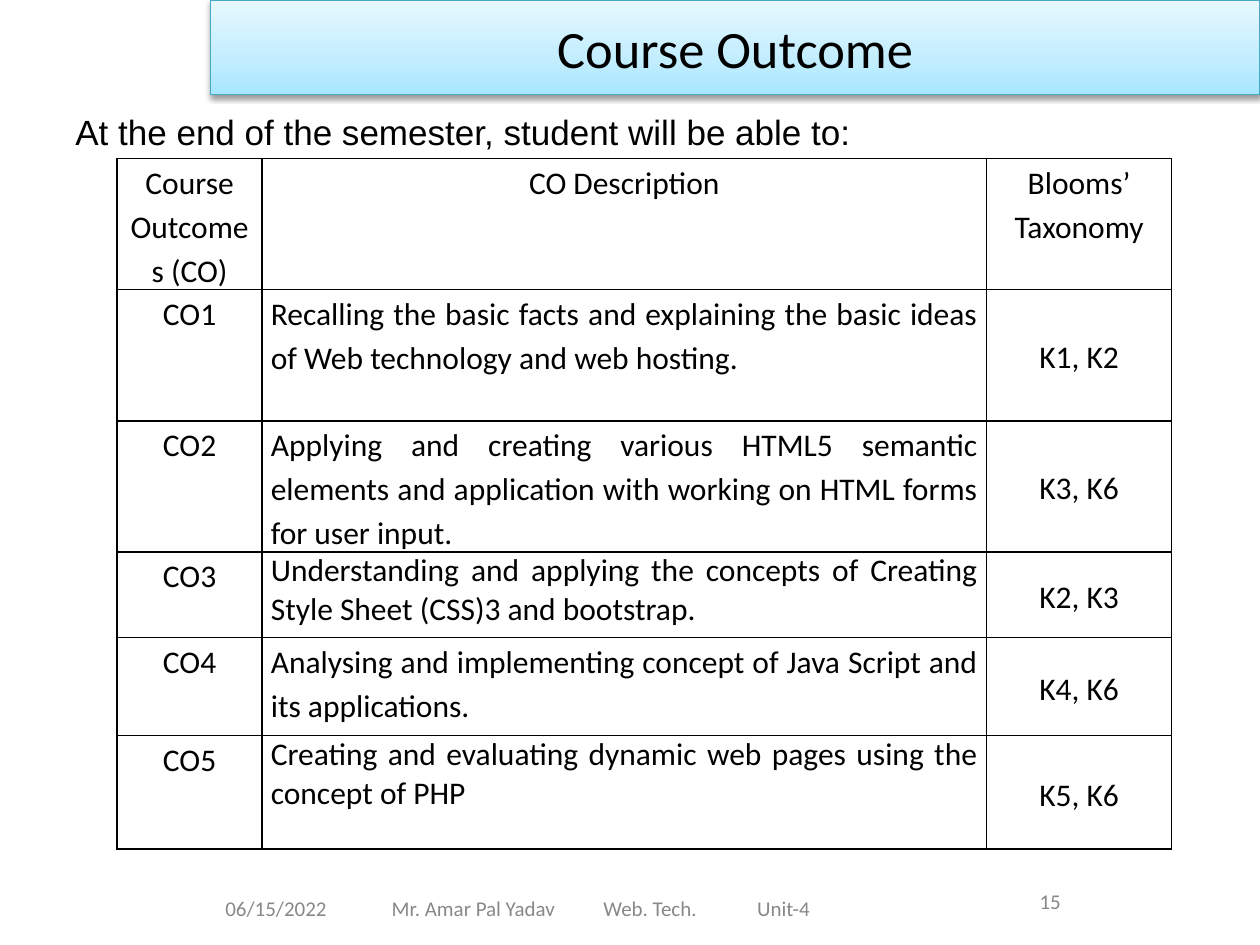
from copy import deepcopy
from lxml import etree
from pptx import Presentation
from pptx.dml.color import RGBColor
from pptx.enum.text import MSO_ANCHOR, MSO_AUTO_SIZE, PP_ALIGN
from pptx.oxml import parse_xml
from pptx.oxml.ns import nsdecls, qn
from pptx.util import Inches, Pt

LEFT, CENTER, JUSTIFY = PP_ALIGN.LEFT, PP_ALIGN.CENTER, PP_ALIGN.JUSTIFY
TOP, MIDDLE = MSO_ANCHOR.TOP, MSO_ANCHOR.MIDDLE

TITLE = "Course Outcome"
INTRO = "At the end of the semester, student will be able to:"
FOOTER = ["06/15/2022", "Mr. Amar Pal Yadav", "Web. Tech.", "Unit-4"]
FOOTER_TABS = [1.32, 3, 4.22]
PAGE = "15"
HEADER = ("Course Outcomes (CO)", "CO Description", "Blooms’ Taxonomy")
OUTCOMES = [
    ("CO1", "Recalling the basic facts and explaining the basic ideas of Web technology and web hosting.", "K1, K2"),
    ("CO2", "Applying and creating various HTML5 semantic elements and application with working on HTML forms for user input.", "K3, K6"),
    ("CO3", "Understanding and applying the concepts of Creating Style Sheet (CSS)3 and bootstrap.", "K2, K3"),
    ("CO4", "Analysing and implementing concept of Java Script and its applications.", "K4, K6"),
    ("CO5", "Creating and evaluating dynamic web pages using the concept of PHP", "K5, K6"),
]
SINGLE_SPACED = {"CO3", "CO5"}
COLS = [1.15, 5.75, 1.47]
ROWS = [1.04, 1.04, 1.04, 0.68, 0.78, 0.9]
COLORS = {"text": "000000", "muted": "888888", "edge": "46AAC5", "border": "000000"}
GRADIENT = [(0, "A7E6FF"), (0.35, "C1EDFF"), (1, "E7F8FF")]

BODY = {"name": "Calibri", "size": 18, "color": "text"}
HEADING = {**BODY, "size": 30}
LEAD = {"name": "Arial", "size": 20, "color": "text"}
SMALL = {"name": "Calibri", "size": 12, "color": "muted"}


def write(p, text, style, **fmt):
    for name, value in fmt.items():
        setattr(p, name, value)
    r = p.add_run()
    r.text = text
    r.font.name = style["name"]
    r.font.size = Pt(style["size"])
    r.font.bold = False
    r.font.color.rgb = RGBColor.from_string(COLORS[style["color"]])


def place(sp, box):
    for name, value in zip(("left", "top", "width", "height"), box):
        setattr(sp, name, Inches(value))


def add_text(slide, box, text, style, align=LEFT, tabs=()):
    tf = slide.shapes.add_textbox(*map(Inches, box)).text_frame
    tf.word_wrap = True
    tf.vertical_anchor = MIDDLE
    p = tf.paragraphs[0]
    if tabs:
        tab_list = etree.SubElement(p._p.get_or_add_pPr(), qn("a:tabLst"))
        for tab in tabs:
            etree.SubElement(tab_list, qn("a:tab"), pos=str(Inches(tab)), algn="l")
    write(p, text, style, alignment=align)
    return tf


def add_title(slide):
    sp = slide.shapes.title
    place(sp, (1.67, 0, 8.33, 0.75))
    sp.fill.gradient()
    sp.fill.gradient_angle = 90
    stops = sp._element.spPr.find(qn("a:gradFill")).find(qn("a:gsLst"))
    stops.append(deepcopy(stops[-1]))
    for stop, (position, color) in zip(sp.fill.gradient_stops, GRADIENT):
        stop.position = position
        stop.color.rgb = RGBColor.from_string(color)
    sp.line.color.rgb = RGBColor.from_string(COLORS["edge"])
    sp.line.width = Pt(0.75)
    sp._element.spPr.append(parse_xml(
        f'<a:effectLst {nsdecls("a")}>'
        f'<a:outerShdw blurRad="{Pt(3.1)}" dist="{Pt(1.6)}" dir="5400000" rotWithShape="0">'
        '<a:srgbClr val="000000"><a:alpha val="38000"/></a:srgbClr>'
        '</a:outerShdw></a:effectLst>'))
    tf = sp.text_frame
    tf.auto_size = MSO_AUTO_SIZE.NONE
    tf.vertical_anchor = MIDDLE
    write(tf.paragraphs[0], TITLE, HEADING, alignment=CENTER)


def add_borders(cell):
    tc_pr = cell._tc.get_or_add_tcPr()
    for side in ("lnL", "lnR", "lnT", "lnB"):
        tc_pr.append(parse_xml(
            f'<a:{side} {nsdecls("a")} w="{Pt(1)}"><a:solidFill>'
            f'<a:srgbClr val="{COLORS["border"]}"/></a:solidFill></a:{side}>'))


def add_outcomes(slide):
    box = (0.93, 1.26, sum(COLS), sum(ROWS))
    table = slide.shapes.add_table(len(ROWS), len(COLS), *map(Inches, box)).table
    table.first_row = table.horz_banding = False
    for column, width in zip(table.columns, COLS):
        column.width = Inches(width)
    for row, height in zip(table.rows, ROWS):
        row.height = Inches(height)
    for i, record in enumerate([HEADER, *OUTCOMES]):
        for j, text in enumerate(record):
            cell = table.cell(i, j)
            level = i > 0 and j == 2
            description = i > 0 and j == 1
            add_borders(cell)
            cell.fill.background()
            cell.margin_left = cell.margin_right = Inches(0.08 if level else 0.07)
            cell.margin_top = cell.margin_bottom = 0
            cell.vertical_anchor = MIDDLE if level else TOP
            fmt = {
                "alignment": JUSTIFY if description else CENTER,
                "line_spacing": 1.0 if description and record[0] in SINGLE_SPACED else 1.15,
                "space_after": Pt(10 if level else 0),
            }
            write(cell.text_frame.paragraphs[0], text, BODY, **fmt)


def main():
    prs = Presentation()
    prs.slide_width, prs.slide_height = Inches(10), Inches(7.5)
    slide = prs.slides.add_slide(prs.slide_layouts[5])
    add_title(slide)
    add_text(slide, (1.69, 7.01, 7.58, 0.4), "\t".join(FOOTER), SMALL, tabs=FOOTER_TABS)
    add_text(slide, (7.17, 6.95, 2.33, 0.4), PAGE, SMALL, CENTER)
    intro = add_text(slide, (0.5, 0.82, 9.5, 0.44), INTRO, LEAD)
    intro.auto_size = MSO_AUTO_SIZE.SHAPE_TO_FIT_TEXT
    add_outcomes(slide)
    prs.save("out.pptx")


if __name__ == "__main__":
    main()
